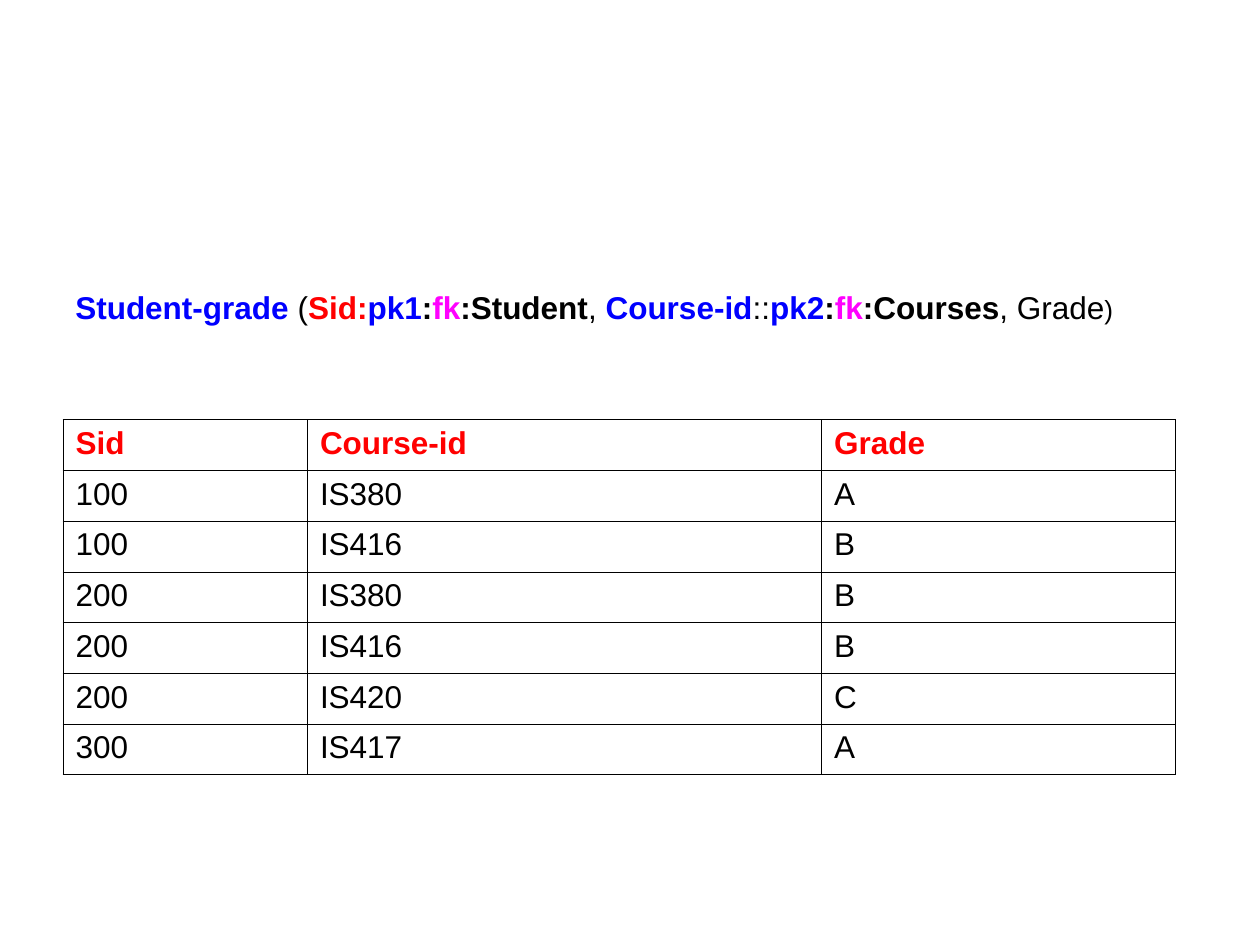
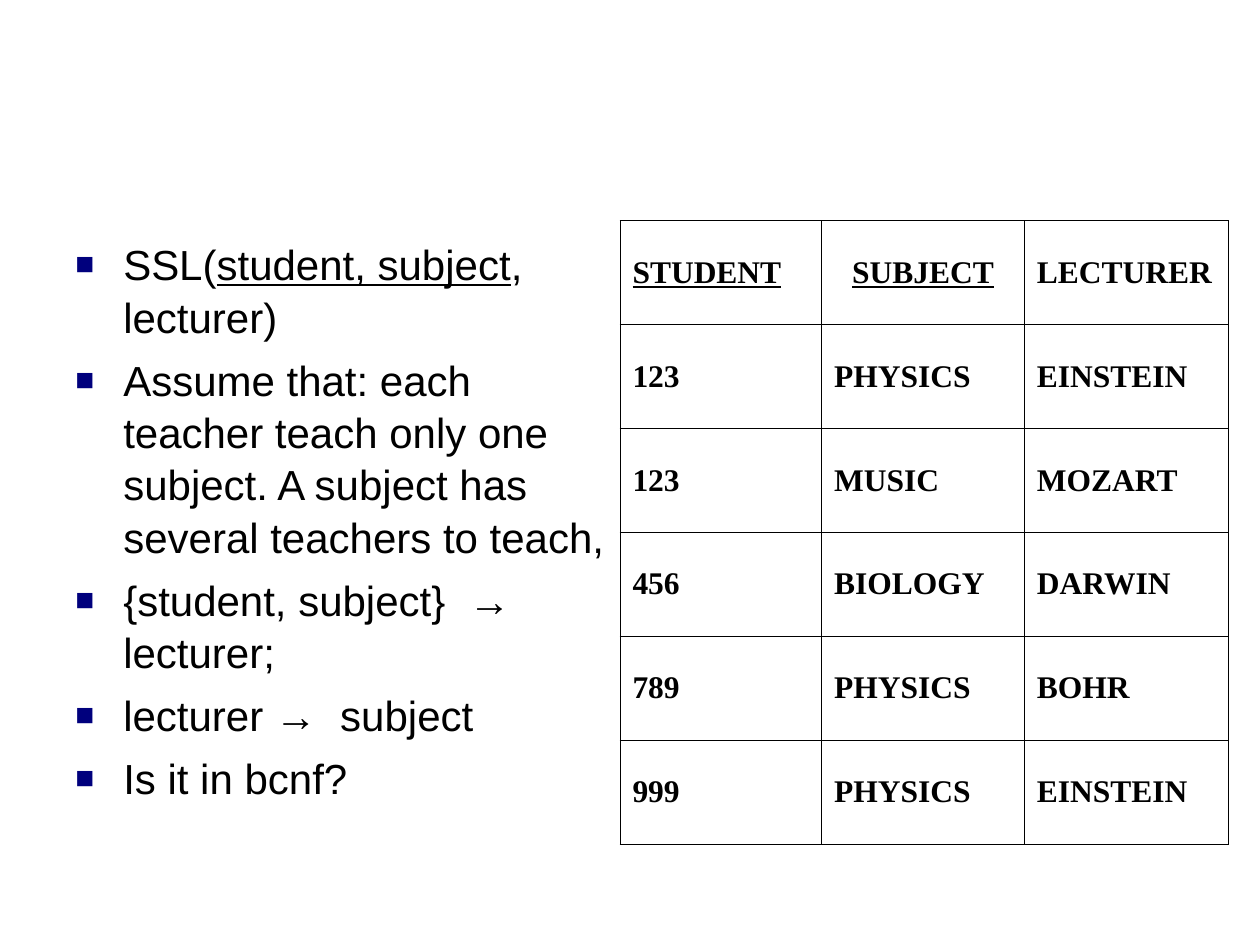
"""Build two slides on relational keys and normal forms."""
from dataclasses import dataclass

from pptx import Presentation
from pptx.dml.color import RGBColor as Color
from pptx.enum.text import MSO_ANCHOR as Anchor, PP_ALIGN as Align
from pptx.oxml.ns import qn
from pptx.util import Inches, Pt
from lxml.etree import SubElement


@dataclass(frozen=True)
class Theme:
    black: str = "000000"
    blue: str = "0000FF"
    red: str = "FF0000"
    magenta: str = "FF00FF"
    bullet: str = "00007D"
    sans: str = "Arial"
    serif: str = "Times New Roman"
    body: int = 24
    regular: int = 18
    small: int = 15


@dataclass(frozen=True)
class Run:
    text: str
    color: str = Theme.black
    bold: bool = False
    underline: bool = False
    size: int = Theme.regular
    font: str = Theme.sans


class Deck:
    def __init__(self, theme):
        self.theme = theme
        self.presentation = Presentation()
        self.presentation.slide_width = Inches(10)
        self.presentation.slide_height = Inches(7.5)
        self.slide = None

    def add_slide(self):
        layout = self.presentation.slide_layouts[6]
        self.slide = self.presentation.slides.add_slide(layout)

    def add_runs(self, paragraph, runs):
        for item in runs:
            run = paragraph.add_run()
            run.text = item.text
            run.font.name = item.font
            run.font.size = Pt(item.size)
            run.font.bold = item.bold
            run.font.underline = item.underline
            run.font.color.rgb = Color.from_string(item.color)

    def text_frame(self, left, top, width, height):
        shape = self.slide.shapes.add_textbox(
            Inches(left), Inches(top), Inches(width), Inches(height))
        shape.text_frame.word_wrap = True
        return shape.text_frame

    def line(self, left, top, width, height, runs):
        frame = self.text_frame(left, top, width, height)
        self.add_runs(frame.paragraphs[0], runs)

    def bullets(self, left, top, width, height, items):
        frame = self.text_frame(left, top, width, height)
        for index, runs in enumerate(items):
            paragraph = frame.add_paragraph() if index else frame.paragraphs[0]
            paragraph.space_before = Pt(6)
            paragraph.line_spacing = 1.04
            self.add_runs(paragraph, runs)
            self.mark(paragraph)

    def mark(self, paragraph):
        properties = paragraph._p.get_or_add_pPr()
        indent = Inches(0.38)
        properties.set("marL", str(indent))
        properties.set("indent", str(-indent))
        color = SubElement(properties, qn("a:buClr"))
        SubElement(color, qn("a:srgbClr"), val=self.theme.bullet)
        SubElement(properties, qn("a:buSzPct"), val="75000")
        SubElement(properties, qn("a:buFont"), typeface=self.theme.sans)
        SubElement(properties, qn("a:buChar"), char="■")

    def table(self, left, top, widths, height, rows, outer, inner,
              anchor=Anchor.TOP, centered=()):
        row_count, column_count = len(rows), len(widths)
        table = self.slide.shapes.add_table(
            row_count, column_count, Inches(left), Inches(top),
            Inches(sum(widths)), Inches(height)).table
        table.first_row = table.horz_banding = False
        for column, width in zip(table.columns, widths):
            column.width = Inches(width)
        for y, row in enumerate(rows):
            for x, run in enumerate(row):
                cell = table.cell(y, x)
                cell.vertical_anchor = anchor
                paragraph = cell.text_frame.paragraphs[0]
                if (y, x) in centered:
                    paragraph.alignment = Align.CENTER
                self.add_runs(paragraph, [run])
                edges = {"L": x == 0, "R": x == column_count - 1,
                         "T": y == 0, "B": y == row_count - 1}
                for side, is_outer in edges.items():
                    self.border(cell, side, outer if is_outer else inner)
                cell.fill.background()

    def border(self, cell, side, width):
        properties = cell._tc.get_or_add_tcPr()
        line = SubElement(properties, qn(f"a:ln{side}"), w=str(Pt(width)))
        fill = SubElement(line, qn("a:solidFill"))
        SubElement(fill, qn("a:srgbClr"), val=self.theme.black)


def add_grades(deck):
    theme = deck.theme
    deck.add_slide()
    deck.line(0.5, 2.24, 8.5, 0.65, [
        Run("Student-grade", theme.blue, True),
        Run(" ("),
        Run("Sid:", theme.red, True),
        Run("pk1", theme.blue, True),
        Run(":", bold=True),
        Run("fk", theme.magenta, True),
        Run(":Student", bold=True),
        Run(", "),
        Run("Course-id", theme.blue, True),
        Run("::"),
        Run("pk2", theme.blue, True),
        Run(":", bold=True),
        Run("fk", theme.magenta, True),
        Run(":Courses", bold=True),
        Run(", Grade"),
        Run(")", size=theme.small),
    ])
    header = [Run(name, theme.red, True) for name in ("Sid", "Course-id", "Grade")]
    grades = [
        ("100", "IS380", "A"),
        ("100", "IS416", "B"),
        ("200", "IS380", "B"),
        ("200", "IS416", "B"),
        ("200", "IS420", "C"),
        ("300", "IS417", "A"),
    ]
    rows = [header] + [[Run(value) for value in grade] for grade in grades]
    deck.table(0.5, 3.33, (1.94, 4.08, 2.81), 2.82, rows, outer=0.45, inner=0.06)


def add_lecturers(deck):
    theme = deck.theme

    def body(text, underline=False):
        return Run(text, underline=underline, size=theme.body)

    def entry(text, underline=False):
        return Run(text, bold=True, underline=underline, font=theme.serif)

    deck.add_slide()
    deck.bullets(0.5, 1.83, 4.42, 5.33, [
        [body("SSL("), body("student, subject", True), body(", lecturer)")],
        [body("Assume that: each teacher teach only one subject. "
              "A subject has several teachers to teach,")],
        [body("{student, subject}  → lecturer;")],
        [body("lecturer →  subject")],
        [body("Is it in bcnf?")],
    ])
    header = [entry("STUDENT", True), entry("SUBJECT", True), entry("LECTURER")]
    lessons = [
        ("123", "PHYSICS", "EINSTEIN"),
        ("123", "MUSIC", "MOZART"),
        ("456", "BIOLOGY", "DARWIN"),
        ("789", "PHYSICS", "BOHR"),
        ("999", "PHYSICS", "EINSTEIN"),
    ]
    rows = [header] + [[entry(value) for value in lesson] for lesson in lessons]
    deck.table(4.92, 1.75, (1.6, 1.61, 1.62), 4.95, rows, outer=0.34, inner=0.34,
               anchor=Anchor.MIDDLE, centered={(0, 1)})


deck = Deck(Theme())
add_grades(deck)
add_lecturers(deck)
deck.presentation.save("out.pptx")
